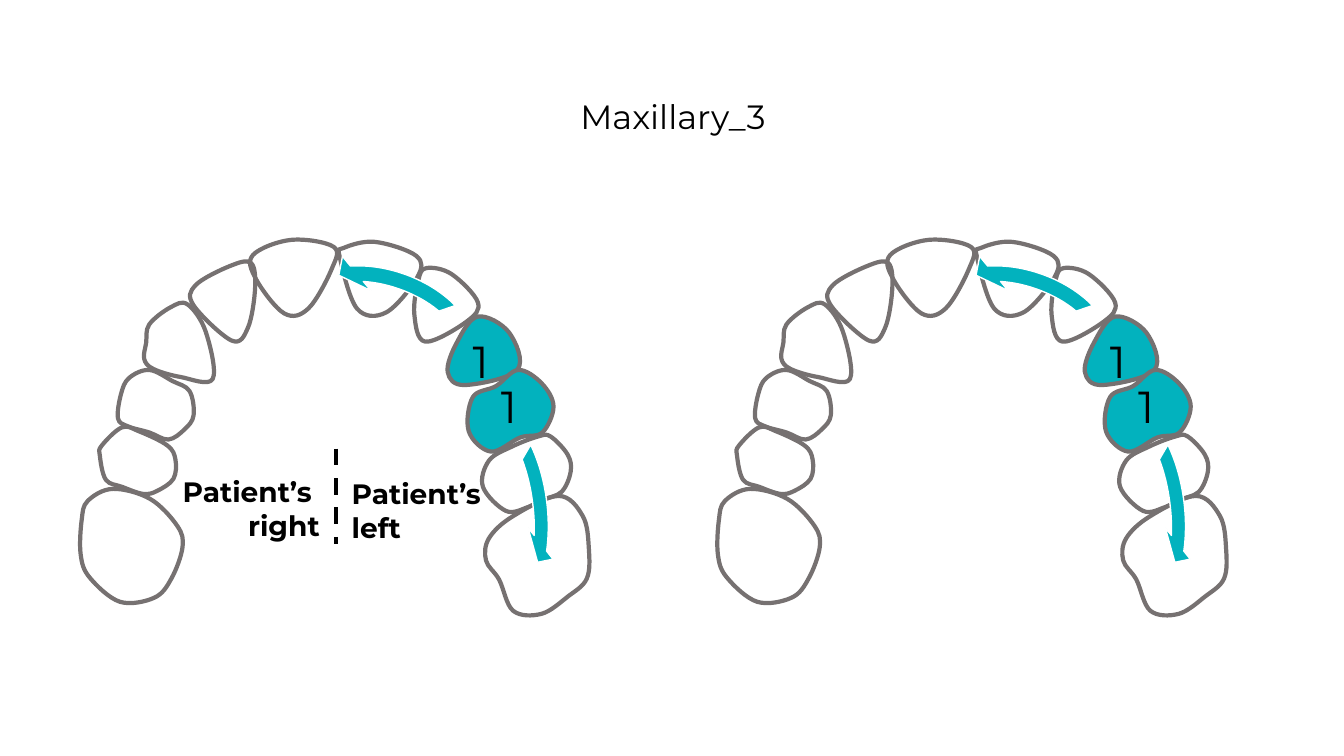
from dataclasses import dataclass

import lxml.etree
import pptx
import pptx.dml.color
import pptx.enum.dml
import pptx.enum.shapes
import pptx.enum.text
import pptx.oxml.ns
import pptx.util

# Grid of square cells, 100 to the inch; all positions are columns and rows
CELL = pptx.util.Inches(0.01)
ARCH_SHIFT = 632  # columns from the left arch to the right arch
COLORS = {"teal": "02B2BE", "outline": "767171", "text": "000000", "white": "FFFFFF"}
ALIGN = pptx.enum.text.PP_ALIGN
Point = tuple[float, float]


@dataclass
class Tooth:
    anchors: list[Point]
    fill: str | None = None


@dataclass
class Arrow:
    box: tuple[int, int, int, int]
    rotation: float
    flips: tuple[str, ...]


# Teeth, from the midline to the patient's left, then to the patient's right
TEETH = [
    Tooth([(341, 246), (337, 255), (354, 306), (383, 310), (414, 275), (413, 254), (372, 240)]),
    Tooth([(415, 278), (411, 312), (422, 339), (463, 319), (474, 300), (448, 272), (423, 266)]),
    Tooth([(444, 369), (453, 340), (474, 314), (505, 330), (513, 367), (461, 382)], "teal"),
    Tooth([(514, 367), (492, 383), (469, 394), (465, 428), (487, 448), (516, 434),
           (538, 429), (549, 403), (537, 380)], "teal"),
    Tooth([(508, 443), (485, 457), (479, 483), (502, 507), (524, 503), (538, 496),
           (557, 488), (566, 468), (563, 451), (546, 433), (534, 433)]),
    Tooth([(509, 512), (485, 534), (482, 556), (495, 575), (509, 606),
           (537, 609), (563, 592), (582, 574), (584, 544), (578, 512), (554, 492)]),
    Tooth([(331, 245), (329, 267), (306, 306), (282, 311), (254, 277), (251, 253), (289, 238)]),
    Tooth([(194, 283), (192, 303), (230, 338), (246, 325), (253, 286), (249, 261), (228, 264)]),
    Tooth([(145, 340), (143, 356), (152, 366), (179, 374), (211, 376), (204, 329),
           (186, 302), (169, 305), (148, 322)]),
    Tooth([(120, 391), (128, 375), (148, 367), (171, 378), (188, 388), (192, 412),
           (183, 426), (167, 436), (148, 429), (127, 423), (117, 415)]),
    Tooth([(99, 452), (101, 442), (121, 424), (138, 428), (166, 442), (174, 456),
           (172, 475), (156, 487), (142, 490), (121, 483), (105, 476)]),
    Tooth([(80, 550), (89, 573), (119, 597), (153, 593), (170, 574), (181, 543),
           (176, 522), (149, 495), (112, 485), (87, 497), (81, 516)]),
]
NUMBER_BOXES = [(459, 326, 65, 64), (487, 371, 65, 64)]
ARROWS = [
    Arrow((273, 254, 216, 146), 19, ("flipH",)),
    Arrow((373, 438, 234, 131), 262.7, ("flipH", "flipV")),
]
ARROW_ADJUSTMENTS = (0.107, 8.273, 189.005, 130.563, 0.152)


def cells(*counts: float) -> list[int]:
    return [round(n * CELL) for n in counts]


def rgb(name: str) -> pptx.dml.color.RGBColor:
    return pptx.dml.color.RGBColor.from_string(COLORS[name])


def paint(s, fill: str | None, line: str, width: float) -> None:
    s.shadow.inherit = False
    if fill:
        s.fill.solid()
        s.fill.fore_color.rgb = rgb(fill)
    else:
        s.fill.background()
    s.line.color.rgb = rgb(line)
    s.line.width = pptx.util.Pt(width)


def add_text(shapes, text: str, box: tuple, *, size: float, bold: bool = False,
             align=ALIGN.LEFT) -> None:
    tf = shapes.add_textbox(*cells(*box)).text_frame
    tf.word_wrap = True
    tf.auto_size = pptx.enum.text.MSO_AUTO_SIZE.SHAPE_TO_FIT_TEXT
    for i, line in enumerate(text.split("\n")):
        p = tf.add_paragraph() if i else tf.paragraphs[0]
        p.alignment = align
        r = p.add_run()
        r.text = line
        r.font.name = "Montserrat"
        r.font.size = pptx.util.Pt(size)
        r.font.bold = bold
        r.font.color.rgb = rgb("text")


def round_outline(s, anchors: list[Point]) -> None:
    """Turn the straight sides into Catmull-Rom curves through the anchors."""
    qn = pptx.oxml.ns.qn
    outline = s.element.find(".//" + qn("a:path"))
    for side in outline.findall(qn("a:lnTo")):
        outline.remove(side)
    count = len(anchors)
    for i in range(count):
        before, start, end, after = (anchors[(i + k) % count] for k in (-1, 0, 1, 2))
        leave = [b + (c - a) / 6 for a, b, c in zip(before, start, end)]
        arrive = [b - (c - a) / 6 for a, b, c in zip(start, end, after)]
        curve = lxml.etree.Element(qn("a:cubicBezTo"))
        for x, y in (leave, arrive, end):
            lxml.etree.SubElement(curve, qn("a:pt"), x=str(round(x - s.left)),
                                  y=str(round(y - s.top)))
        outline.insert(i + 1, curve)


def add_tooth(shapes, tooth: Tooth, shift: int) -> None:
    anchors = [cells(x + shift, y) for x, y in tooth.anchors]
    builder = shapes.build_freeform(*anchors[0])
    builder.add_line_segments(anchors[1:], close=True)
    s = builder.convert_to_shape()
    round_outline(s, anchors)
    paint(s, tooth.fill, "outline", 3)


def add_arrow(shapes, arrow: Arrow, shift: int) -> None:
    left, top, width, height = arrow.box
    s = shapes.add_shape(pptx.enum.shapes.MSO_SHAPE.CIRCULAR_ARROW,
                         *cells(left + shift, top, width, height))
    for i, value in enumerate(ARROW_ADJUSTMENTS):
        s.adjustments[i] = value
    s.rotation = arrow.rotation
    xfrm = s.element.spPr.find(pptx.oxml.ns.qn("a:xfrm"))
    for flip in arrow.flips:
        xfrm.set(flip, "1")
    paint(s, "teal", "white", 1)


def add_side_labels(shapes) -> None:
    add_text(shapes, "Patient’s \nright", (106, 466, 221, 77), size=20, bold=True,
             align=ALIGN.RIGHT)
    add_text(shapes, "Patient’s\nleft", (339, 468, 154, 77), size=20, bold=True)
    midline = shapes.add_connector(pptx.enum.shapes.MSO_CONNECTOR.STRAIGHT,
                                   *cells(333, 445, 333, 540))
    midline.line.color.rgb = rgb("text")
    midline.line.width = pptx.util.Pt(3)
    midline.line.dash_style = pptx.enum.dml.MSO_LINE.DASH
    lxml.etree.SubElement(midline.element.spPr, pptx.oxml.ns.qn("a:effectLst"))


def add_arch(shapes, shift: int) -> None:
    for tooth in TEETH:
        add_tooth(shapes, tooth, shift)
    for left, top, width, height in NUMBER_BOXES:
        add_text(shapes, "1", (left + shift, top, width, height), size=32)
    for arrow in ARROWS:
        add_arrow(shapes, arrow, shift)


def main() -> None:
    prs = pptx.Presentation()
    prs.slide_width = pptx.util.Inches(13.33)
    prs.slide_height = pptx.util.Inches(7.5)
    slide = prs.slides.add_slide(prs.slide_layouts[6])

    # Title
    add_text(slide.shapes, "Maxillary_3", (565, 90, 205, 50), size=24, align=ALIGN.CENTER)

    # Right arch
    add_arch(slide.shapes.add_group_shape().shapes, ARCH_SHIFT)

    # Left arch with the patient's sides
    left_shapes = slide.shapes.add_group_shape().shapes
    add_side_labels(left_shapes)
    add_arch(left_shapes, 0)

    prs.save("out.pptx")


if __name__ == "__main__":
    main()
